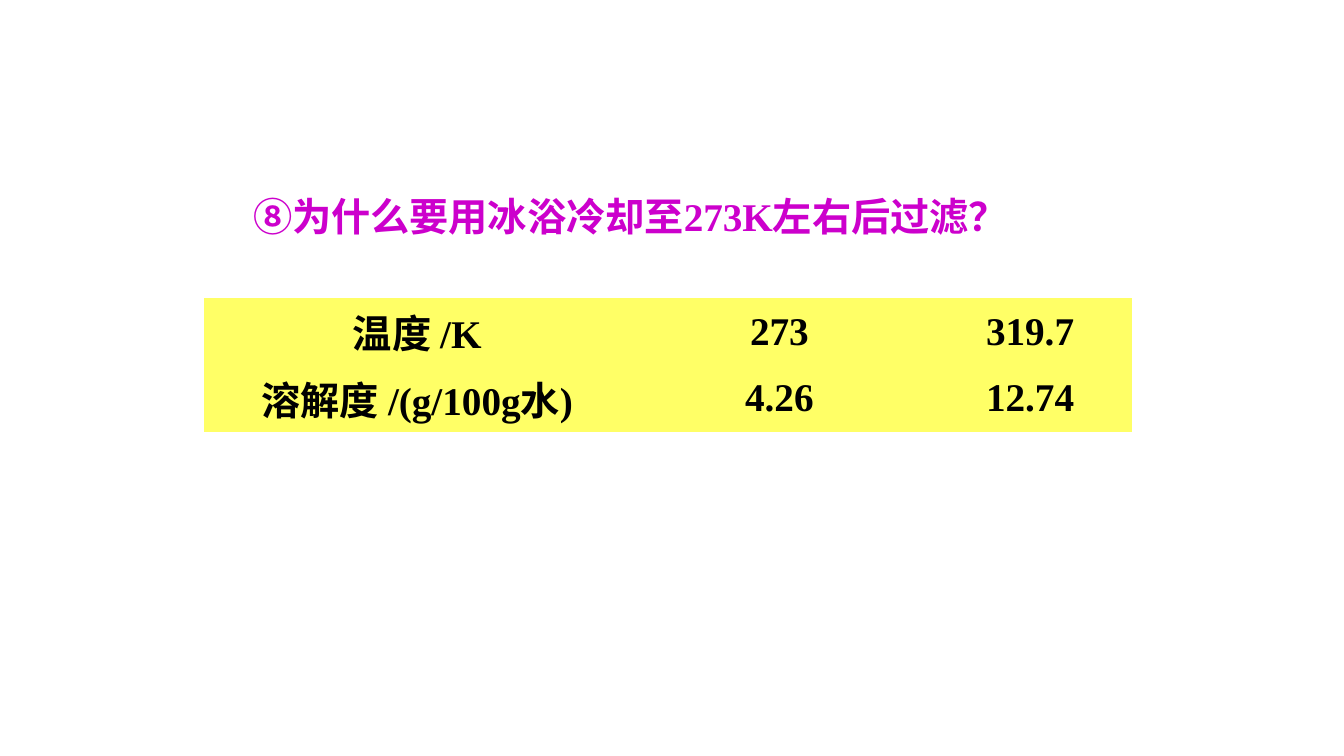
from pptx import Presentation
from pptx.dml.color import RGBColor
from pptx.enum.text import MSO_ANCHOR, MSO_AUTO_SIZE, PP_ALIGN
from pptx.oxml.ns import qn
from pptx.util import Inches, Pt

MAGENTA = RGBColor(0xCC, 0x00, 0xCC)
YELLOW = RGBColor(0xFF, 0xFF, 0x66)
BLACK = RGBColor(0x00, 0x00, 0x00)
FONT_NAME = "Times New Roman"
PLAIN_TABLE_STYLE = "{2D5ABB26-0587-4C30-8999-92F81FD0307C}"
SOLUBILITY_ROWS = [
    ["温度 /K", "273", "319.7"],
    ["溶解度 /(g/100g水)", "4.26", "12.74"],
]


def write_line(frame, text, color, alignment):
    frame.text = text
    paragraph = frame.paragraphs[0]
    paragraph.alignment = alignment
    font = paragraph.runs[0].font
    font.name = FONT_NAME
    font.size = Pt(28)
    font.bold = True
    font.color.rgb = color


def add_question(slide, left, top, width, height):
    question = slide.shapes.title
    question.left, question.top = Inches(left), Inches(top)
    question.width, question.height = Inches(width), Inches(height)
    frame = question.text_frame
    frame.word_wrap = True
    frame.auto_size = MSO_AUTO_SIZE.NONE
    frame.vertical_anchor = MSO_ANCHOR.MIDDLE
    write_line(frame, "⑧为什么要用冰浴冷却至273K左右后过滤？", MAGENTA, PP_ALIGN.LEFT)


def add_solubility_table(slide, left, top, width, height):
    solubility = slide.shapes.add_table(
        len(SOLUBILITY_ROWS), len(SOLUBILITY_ROWS[0]),
        Inches(left), Inches(top), Inches(width), Inches(height),
    ).table
    solubility.first_row = False
    solubility.horz_banding = False
    solubility._tbl.tblPr.find(qn("a:tableStyleId")).text = PLAIN_TABLE_STYLE
    for column, share in zip(solubility.columns, (0.46, 0.32, 0.22)):
        column.width = Inches(width * share)
    for row, row_height in zip(solubility.rows, (0.59, height - 0.59)):
        row.height = Inches(row_height)
    for row, values in zip(solubility.rows, SOLUBILITY_ROWS):
        for cell, value in zip(row.cells, values):
            cell.fill.solid()
            cell.fill.fore_color.rgb = YELLOW
            cell.vertical_anchor = MSO_ANCHOR.MIDDLE
            write_line(cell.text_frame, value, BLACK, PP_ALIGN.CENTER)


def main():
    presentation = Presentation()
    presentation.slide_width = Inches(13.33)
    presentation.slide_height = Inches(7.5)
    slide = presentation.slides.add_slide(presentation.slide_layouts[5])
    add_question(slide, 2.41, 1.86, 8.03, 0.57)
    add_solubility_table(slide, 2.02, 2.96, 9.21, 1.16)
    presentation.save("out.pptx")


if __name__ == "__main__":
    main()
